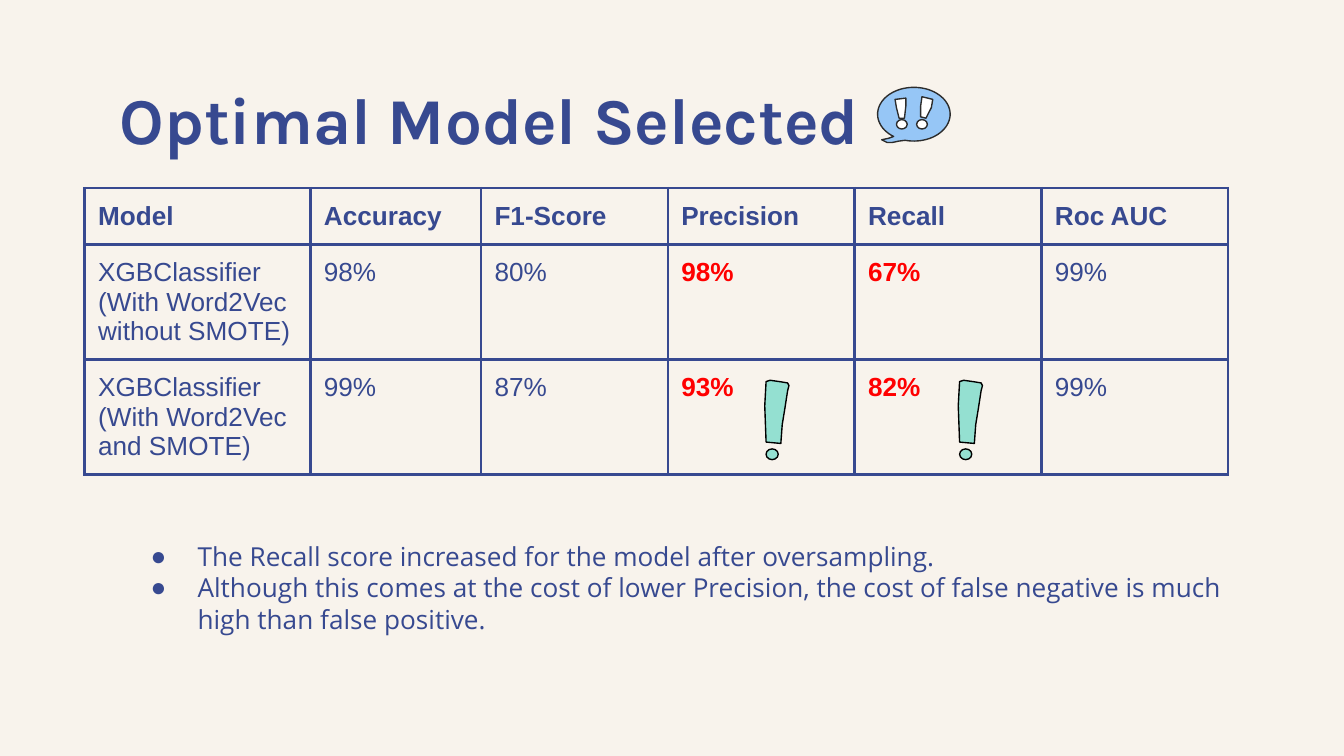
"""Build the slide that compares the scores of the optimal model."""
from math import cos, radians, sin

from lxml.etree import SubElement
from pptx import Presentation
from pptx.dml.color import RGBColor
from pptx.enum.shapes import MSO_SHAPE
from pptx.enum.text import MSO_ANCHOR, MSO_AUTO_SIZE, PP_ALIGN
from pptx.oxml.ns import qn
from pptx.util import Inches, Pt

COLORS = {
    "background": "F8F3EC",
    "ink": "374990",
    "highlight": "FF0000",
    "mint": "94E0D1",
    "black": "000000",
    "bubble": "96C6F6",
    "outline": "2C2C2C",
    "white": "FFFFFF",
}
COLUMN_WIDTHS = [1.68, 1.27] + [1.39] * 4
ROW_HEIGHTS = [0.42, 0.85, 0.85]
SCORES = [
    ["Model", "Accuracy", "F1-Score", "Precision", "Recall", "Roc AUC"],
    ["XGBClassifier (With Word2Vec without SMOTE)", "98%", "80%", "98%", "67%", "99%"],
    ["XGBClassifier (With Word2Vec and SMOTE)", "99%", "87%", "93%", "82%", "99%"],
]
HIGHLIGHTED_COLUMNS = (3, 4)
FINDINGS = [
    "The Recall score increased for the model after oversampling.",
    "Although this comes at the cost of lower Precision, "
    "the cost of false negative is much high than false positive.",
]
MINT_BAR = [
    (5.7, 2.84), (5.73, 2.83), (5.8, 2.84), (5.86, 2.85), (5.87, 2.87), (5.86, 2.91),
    (5.84, 3.04), (5.82, 3.16), (5.81, 3.3), (5.7, 3.29), (5.69, 3.02),
]
LEFT_BAR = [(6.66, 0.74), (6.67, 0.8), (6.69, 0.88), (6.73, 0.88), (6.74, 0.79), (6.74, 0.73)]
RIGHT_BAR = [(6.86, 0.72), (6.85, 0.79), (6.85, 0.87), (6.89, 0.88), (6.93, 0.8), (6.94, 0.74)]


def color(name):
    return RGBColor.from_string(COLORS[name])


def style_font(font, name, size, color_name, bold=False):
    font.name = name
    font.size = Pt(size)
    font.bold = bold
    font.color.rgb = color(color_name)


def style_shape(shape, fill, line):
    shape.shadow.inherit = False
    shape.fill.solid()
    shape.fill.fore_color.rgb = color(fill)
    shape.line.color.rgb = color(line)
    shape.line.width = Pt(0.75)


def place_placeholder(placeholder, left, top, width, height):
    placeholder.left, placeholder.top = Inches(left), Inches(top)
    placeholder.width, placeholder.height = Inches(width), Inches(height)
    frame = placeholder.text_frame
    frame.margin_left = frame.margin_right = Inches(0.1)
    frame.margin_top = frame.margin_bottom = Inches(0.1)
    frame.vertical_anchor = MSO_ANCHOR.TOP
    frame.auto_size = MSO_AUTO_SIZE.NONE
    frame.word_wrap = True
    return frame


def add_title(slide, text):
    frame = place_placeholder(slide.shapes.title, 0.79, 0.49, 8.43, 0.63)
    frame.text = text
    paragraph = frame.paragraphs[0]
    paragraph.alignment = PP_ALIGN.LEFT
    style_font(paragraph.font, "Karla", 35, "ink", bold=True)


def set_bullet(paragraph):
    properties = paragraph._p.get_or_add_pPr()
    properties.set("marL", str(Inches(0.5)))
    properties.set("indent", str(Inches(-0.35)))
    bullet_color = SubElement(properties, qn("a:buClr"))
    SubElement(bullet_color, qn("a:srgbClr"), val=COLORS["ink"])
    SubElement(properties, qn("a:buFont"), typeface="Arial")
    SubElement(properties, qn("a:buChar"), char="●")


def add_findings(slide, findings):
    frame = place_placeholder(slide.placeholders[1], 0.87, 3.92, 8.43, 1.21)
    frame.text = "\n".join(findings)
    for paragraph in frame.paragraphs:
        paragraph.space_before = Pt(0)
        paragraph.line_spacing = 1.0
        set_bullet(paragraph)
        style_font(paragraph.font, "Open Sans", 14, "ink")


def set_borders(cell):
    properties = cell._tc.get_or_add_tcPr()
    for side in ("lnL", "lnR", "lnT", "lnB"):
        border = SubElement(properties, qn(f"a:{side}"), w=str(Pt(1.5)))
        fill = SubElement(border, qn("a:solidFill"))
        SubElement(fill, qn("a:srgbClr"), val=COLORS["ink"])


def fill_cell(cell, text, color_name, bold):
    cell.text = text
    cell.margin_left = cell.margin_right = Inches(0.1)
    cell.margin_top = cell.margin_bottom = Inches(0.1)
    set_borders(cell)
    cell.fill.background()
    style_font(cell.text_frame.paragraphs[0].font, "Arial", 14, color_name, bold)


def add_score_table(slide):
    table = slide.shapes.add_table(
        len(SCORES), len(SCORES[0]), Inches(0.63), Inches(1.4),
        Inches(sum(COLUMN_WIDTHS)), Inches(sum(ROW_HEIGHTS)),
    ).table
    table.first_row = table.horz_banding = False
    for column, width in zip(table.columns, COLUMN_WIDTHS):
        column.width = Inches(width)
    for row, height in zip(table.rows, ROW_HEIGHTS):
        row.height = Inches(height)
    for row_index, row in enumerate(SCORES):
        for column_index, text in enumerate(row):
            header = row_index == 0
            highlighted = not header and column_index in HIGHLIGHTED_COLUMNS
            fill_cell(
                table.cell(row_index, column_index), text,
                "highlight" if highlighted else "ink", header or highlighted,
            )


def add_outline(shapes, points, fill, line):
    start, *rest = [(Inches(x), Inches(y)) for x, y in points]
    builder = shapes.build_freeform(*start, scale=1.0)
    builder.add_line_segments(rest, close=True)
    style_shape(builder.convert_to_shape(), fill, line)


def add_exclamation(shapes, bar, dot, fill, line, shift=0):
    left, top, width, height = dot
    oval = shapes.add_shape(
        MSO_SHAPE.OVAL, Inches(left + shift), Inches(top), Inches(width), Inches(height)
    )
    style_shape(oval, fill, line)
    add_outline(shapes, [(x + shift, y) for x, y in bar], fill, line)


def add_speech_bubble(slide):
    shapes = slide.shapes.add_group_shape().shapes
    angles = [radians(degrees) for degrees in range(124, 465, 5)]
    rim = [(6.8 + 0.27 * cos(angle), 0.85 + 0.2 * sin(angle)) for angle in angles]
    tail = [(6.69, 1.05), (6.64, 1.06), (6.6, 1.06), (6.56, 1.04), (6.61, 1.03)]
    add_outline(shapes, rim + tail, "bubble", "outline")
    add_exclamation(shapes, RIGHT_BAR, (6.82, 0.89, 0.08, 0.07), "white", "outline")
    add_exclamation(shapes, LEFT_BAR, (6.67, 0.89, 0.08, 0.07), "white", "outline")


def main():
    presentation = Presentation()
    presentation.slide_width = Inches(10)
    presentation.slide_height = Inches(10 * 9 / 16)
    slide = presentation.slides.add_slide(presentation.slide_layouts[1])
    slide.background.fill.solid()
    slide.background.fill.fore_color.rgb = color("background")
    add_title(slide, "Optimal Model Selected")
    add_score_table(slide)
    add_findings(slide, FINDINGS)
    for shift in (1.44, 0):
        group = slide.shapes.add_group_shape()
        add_exclamation(
            group.shapes, MINT_BAR, (5.7, 3.34, 0.09, 0.08), "mint", "black", shift
        )
    add_speech_bubble(slide)
    presentation.save("out.pptx")


if __name__ == "__main__":
    main()
